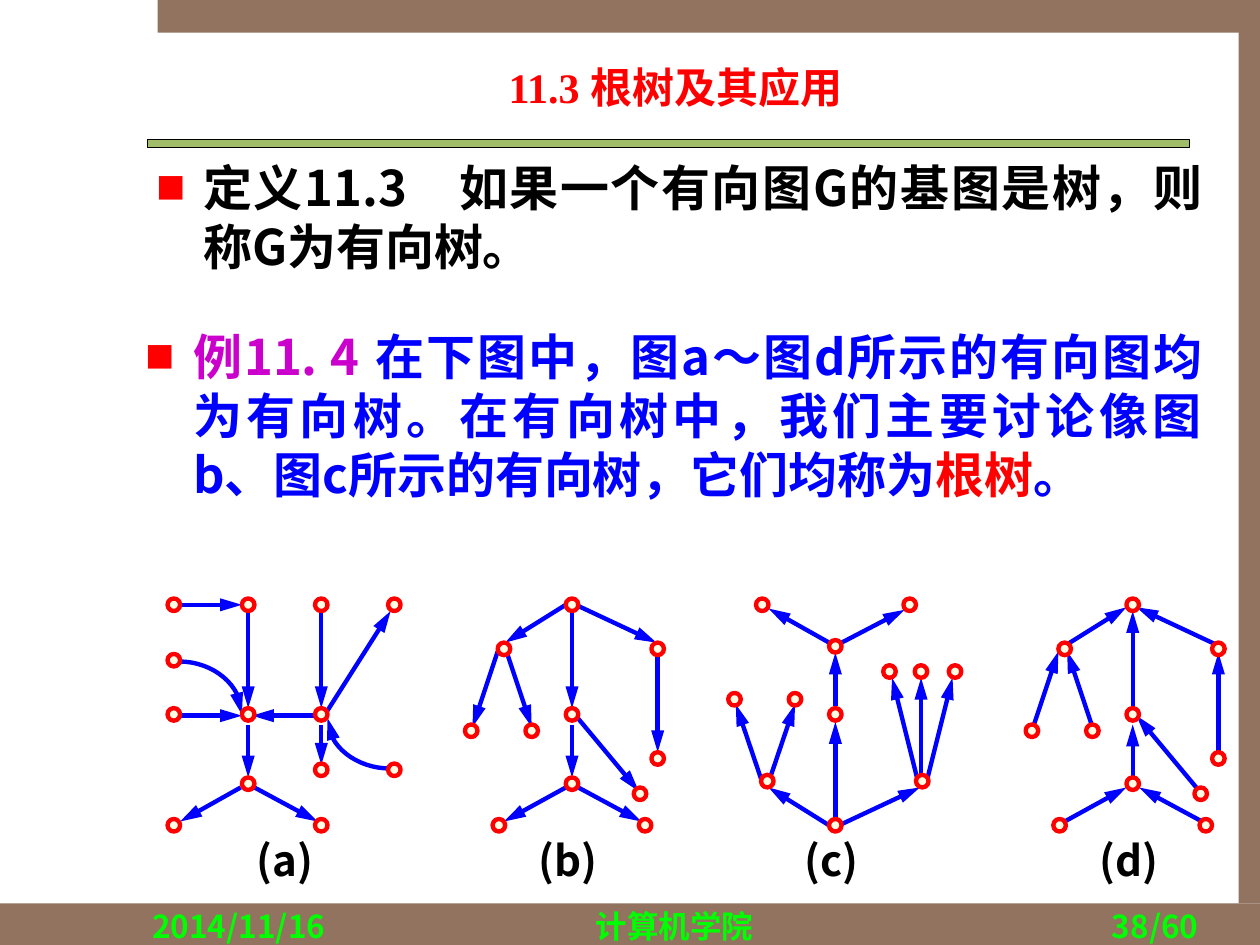
from dataclasses import dataclass

import pptx
import pptx.dml.color
import pptx.enum.shapes
import pptx.enum.text
import pptx.oxml
import pptx.oxml.ns
import pptx.util

COLORS = {"brown": "91735F", "green": "A1BD69", "lime": "00FF00", "red": "FF0000",
          "blue": "0000FF", "violet": "CC00CC", "black": "000000", "cream": "FEFDE3"}
FONT = "Noto Sans CJK SC"
ALIGN = pptx.enum.text.PP_ALIGN
COLS, ROWS = 1000, 750  # fine grid laid over the slide
NODE = 10  # node diameter in grid cells

prs = pptx.Presentation()
prs.slide_width, prs.slide_height = pptx.util.Inches(10), pptx.util.Inches(7.5)
s = prs.slides.add_slide(prs.slide_layouts[5])


@dataclass
class Arrow:
    x1: float
    y1: float
    x2: float
    y2: float
    curved: bool = False


@dataclass
class Tree:
    label: str
    label_x: float
    nodes: list[tuple[float, float]]  # left, top
    arrows: list[Arrow]


def col(n: float) -> int:
    return round(prs.slide_width * n / COLS)


def row(n: float) -> int:
    return round(prs.slide_height * n / ROWS)


def box(x: float, y: float, w: float, h: float) -> tuple[int, int, int, int]:
    return col(x), row(y), col(w), row(h)


def rgb(name: str) -> pptx.dml.color.RGBColor:
    return pptx.dml.color.RGBColor.from_string(COLORS[name])


def add_xml(parent, xml: str) -> None:
    ns = pptx.oxml.ns.nsdecls("a")
    parent.append(pptx.oxml.parse_xml(xml.replace("/>", f" {ns}/>", 1)))


def format_run(r, size: float, color: str, font: str = FONT) -> None:
    r.font.size, r.font.bold, r.font.name = pptx.util.Pt(size), True, font
    r.font.color.rgb = rgb(color)
    add_xml(r._r.get_or_add_rPr(), f'<a:ea typeface="{FONT}"/>')


def add_shape(kind, place, fill: str, line: str = "", width: float = 0.75) -> None:
    sp = s.shapes.add_shape(kind, *place)
    sp.shadow.inherit = False
    sp.fill.solid()
    sp.fill.fore_color.rgb = rgb(fill)
    if line:
        sp.line.color.rgb, sp.line.width = rgb(line), pptx.util.Pt(width)
    else:
        sp.line.fill.background()


def add_text(place, parts: list[tuple[str, str]], size: float, align, top: float = 5, side: float = 10):
    tf = s.shapes.add_textbox(*place).text_frame
    tf.word_wrap = True
    tf.margin_left = tf.margin_right = col(side)
    tf.margin_top, tf.margin_bottom = row(top), 0
    p = tf.paragraphs[0]
    p.alignment = align
    for text, color in parts:
        r = p.add_run()
        r.text = text
        format_run(r, size, color)
    return p


def add_bullet_text(place, parts: list[tuple[str, str]]) -> None:
    pPr = add_text(place, parts, 28, ALIGN.JUSTIFY, top=10)._p.get_or_add_pPr()
    pPr.set("marL", str(col(37.5)))
    pPr.set("indent", str(-col(37.5)))
    pPr.append(pptx.oxml.parse_xml(
        f'<a:buClr {pptx.oxml.ns.nsdecls("a")}><a:srgbClr val="{COLORS["red"]}"/></a:buClr>'))
    add_xml(pPr, '<a:buSzPct val="60000"/>')
    add_xml(pPr, f'<a:buFont typeface="{FONT}"/>')
    add_xml(pPr, '<a:buChar char="■"/>')


def add_arrow(a: Arrow) -> None:
    if a.curved:  # leaves level, arrives upright
        steps = [i / 16 for i in range(17)]
        points = [(col(a.x1 + (a.x2 - a.x1) * (1.65 * t * (1 - t) ** 2 + 3 * t * t * (1 - t) + t ** 3)),
                   row(a.y1 + (a.y2 - a.y1) * (1.35 * t * t * (1 - t) + t ** 3))) for t in steps]
        fb = s.shapes.build_freeform(*points[0])
        fb.add_line_segments(points[1:], close=False)
        sp = fb.convert_to_shape()
        sp.fill.background()
        sp.shadow.inherit = False
    else:
        sp = s.shapes.add_connector(pptx.enum.shapes.MSO_CONNECTOR.STRAIGHT,
                                    col(a.x1), row(a.y1), col(a.x2), row(a.y2))
    sp.line.color.rgb, sp.line.width = rgb("blue"), pptx.util.Pt(2.5)
    add_xml(sp.line._get_or_add_ln(), '<a:tailEnd type="triangle" w="med" len="lg"/>')
    if not a.curved:
        add_xml(sp._element.spPr, "<a:effectLst/>")


def add_tree(t: Tree) -> None:
    for a in t.arrows:
        add_arrow(a)
    for x, y in t.nodes:
        add_shape(SHAPE.OVAL, box(x, y, NODE, NODE), "cream", "red", 2.5)
    add_text(box(t.label_x, 658, 50, 48), [(t.label, "black")], 24, ALIGN.CENTER, top=4, side=0)


def reversed_tree(t: Tree, label: str, shift: float) -> Tree:
    """Shift a tree and turn its arrows; those at the root end a little lower."""
    arrows = []
    for a in t.arrows:
        drop = 2 if a.y1 < 490 else 0
        arrows.append(Arrow(a.x2 + shift, a.y2 + drop, a.x1 + shift, a.y1 + drop))
    return Tree(label, t.label_x + shift, [(x + shift, y) for x, y in t.nodes], arrows)


# Frame bars and rule
SHAPE = pptx.enum.shapes.MSO_SHAPE
for bar in ((0, 717, 1000, 33), (125, 0, 875, 26), (983, 25, 17, 692)):
    add_shape(SHAPE.RECTANGLE, box(*bar), "brown")
add_shape(SHAPE.RECTANGLE, box(117, 111, 827, 6), "green", "black")

# Title
title = s.shapes.title
title.left, title.top, title.width, title.height = box(135, 44, 802, 50)
tf = title.text_frame
tf.text = "11.3 根树及其应用"
tf.vertical_anchor = pptx.enum.text.MSO_ANCHOR.MIDDLE
tf.paragraphs[0].alignment = ALIGN.CENTER
format_run(tf.paragraphs[0].runs[0], 24, "red", "Times New Roman")

# Footer
for text, x, w, align in (("2014/11/16", 111, 208, ALIGN.LEFT), ("计算机学院", 319, 433, ALIGN.CENTER),
                          ("38/60", 753, 208, ALIGN.RIGHT)):
    add_text(box(x, 715, w, 18), [(text, "lime")], 18, align)

# Definition and example
add_bullet_text(box(114, 115, 850, 122),
                [("定义11.3　如果一个有向图G的基图是树，则称G为有向树。", "black")])
add_bullet_text(box(106, 249, 858, 178), [
    ("例11. 4 ", "violet"),
    ("在下图中，图a～图d所示的有向图均为有向树。在有向树中，我们主要讨论像图b、图c所示的有向树，它们均称为", "blue"),
    ("根树", "red"), ("。", "blue")])

# Directed trees
tree_a = Tree(
    "(a)", 201,
    [(133, 475), (192, 475), (250, 475), (308, 475), (133, 519), (133, 562), (192, 562),
     (250, 562), (250, 606), (308, 606), (192, 617), (133, 650), (250, 650)],
    [Arrow(142, 480, 192, 480), Arrow(197, 575, 197, 617), Arrow(258, 567, 310, 485),
     Arrow(191, 625, 143, 652), Arrow(197, 483, 197, 562), Arrow(142, 568, 192, 568),
     Arrow(250, 568, 200, 568), Arrow(255, 575, 255, 607), Arrow(255, 483, 255, 562),
     Arrow(202, 625, 252, 652), Arrow(142, 525, 192, 567, True), Arrow(310, 610, 260, 570, True)])
tree_b = Tree(
    "(b)", 426,
    [(449, 475), (395, 510), (517, 510), (369, 575), (417, 575), (449, 562), (517, 597),
     (503, 625), (449, 617), (391, 650), (507, 650)],
    [Arrow(457, 480, 521, 510), Arrow(449, 480, 401, 510), Arrow(454, 483, 454, 562),
     Arrow(454, 575, 454, 617), Arrow(449, 625, 400, 652), Arrow(459, 625, 509, 652),
     Arrow(402, 517, 422, 577), Arrow(395, 517, 375, 577), Arrow(522, 518, 522, 597),
     Arrow(457, 568, 507, 628)])
tree_c = Tree(
    "(c)", 635,
    [(600, 475), (717, 475), (658, 508), (701, 528), (726, 528), (753, 528), (578, 550),
     (626, 550), (658, 562), (604, 615), (727, 615), (658, 650)],
    [Arrow(666, 655, 730, 625), Arrow(658, 655, 610, 625), Arrow(663, 652, 663, 573),
     Arrow(663, 560, 663, 518), Arrow(658, 510, 610, 483), Arrow(668, 510, 718, 484),
     Arrow(611, 618, 631, 559), Arrow(604, 618, 584, 559), Arrow(731, 617, 731, 538),
     Arrow(736, 618, 756, 538), Arrow(728, 618, 708, 538)])
for tree in (tree_a, tree_b, tree_c, reversed_tree(tree_b, "(d)", 445)):
    add_tree(tree)

prs.save("out.pptx")
